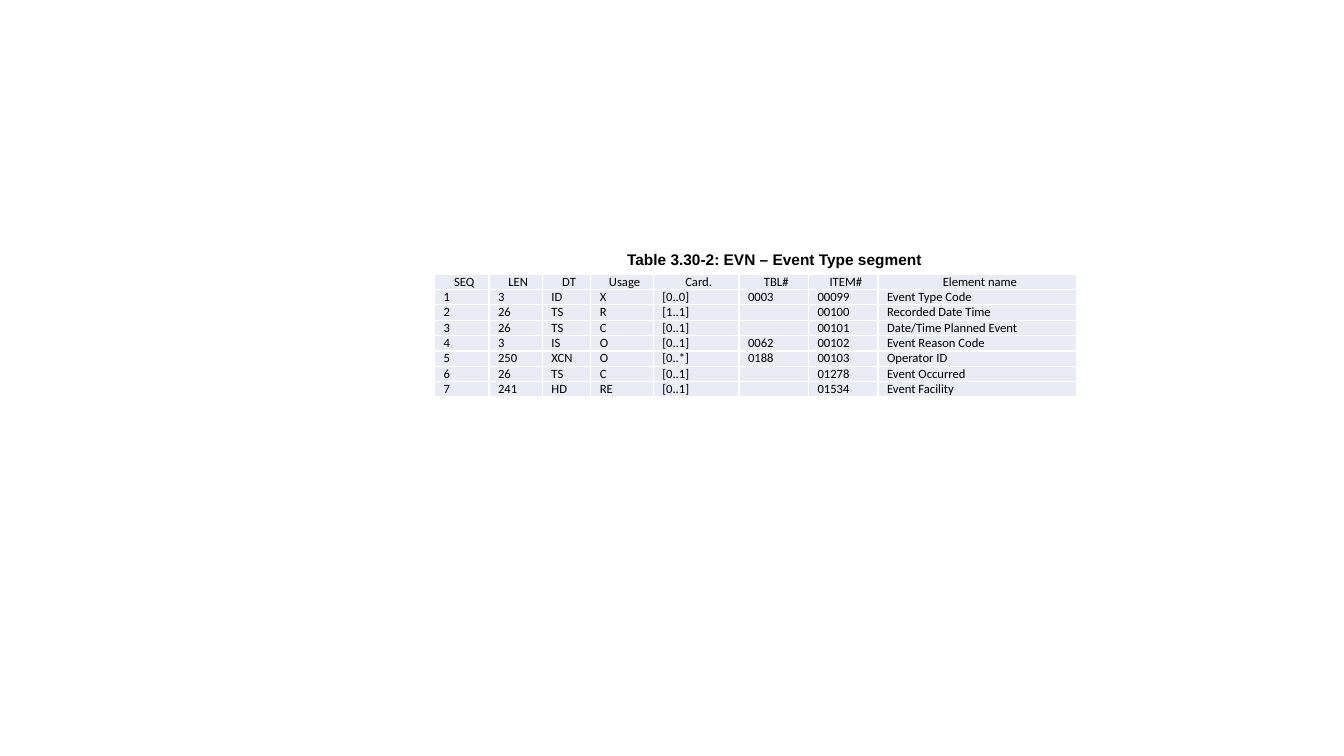
import pptx
import pptx.dml.color
import pptx.enum.text
import pptx.oxml.ns
import pptx.util
from lxml import etree

Inches = pptx.util.Inches
Pt = pptx.util.Pt
PP_ALIGN = pptx.enum.text.PP_ALIGN
ANCHOR = pptx.enum.text.MSO_ANCHOR
qn = pptx.oxml.ns.qn

COLUMNS = [0.54, 0.53, 0.48, 0.62, 0.85, 0.69, 0.69, 1.97]
SEGMENT = [
    ["SEQ", "LEN", "DT", "Usage", "Card.", "TBL#", "ITEM#", "Element name"],
    ["1", "3", "ID", "X", "[0..0]", "0003", "00099", "Event Type Code"],
    ["2", "26", "TS", "R", "[1..1]", "", "00100", "Recorded Date Time"],
    ["3", "26", "TS", "C", "[0..1]", "", "00101", "Date/Time Planned Event"],
    ["4", "3", "IS", "O", "[0..1]", "0062", "00102", "Event Reason Code"],
    ["5", "250", "XCN", "O", "[0..*]", "0188", "00103", "Operator ID"],
    ["6", "26", "TS", "C", "[0..1]", "", "01278", "Event Occurred"],
    ["7", "241", "HD", "RE", "[0..1]", "", "01534", "Event Facility"],
]


def rgb(value):
    return pptx.dml.color.RGBColor.from_string(value)


class SlideBuilder:
    """Hold the table style and the current slide."""

    text = "000000"
    cell_fill = "E9EBF5"
    border = "FFFFFF"
    body_size = 9
    row_height = 0.15

    def __init__(self, prs):
        self.slide = prs.slides.add_slide(prs.slide_layouts[5])

    def font(self, p, name, size, bold=False):
        p.font.name = name
        p.font.size = Pt(size)
        p.font.bold = bold
        p.font.color.rgb = rgb(self.text)

    def title(self, text, left, top, width, height):
        sp = self.slide.shapes.title
        sp.left, sp.top = Inches(left), Inches(top)
        sp.width, sp.height = Inches(width), Inches(height)
        tf = sp.text_frame
        tf.text = text
        tf.word_wrap = False
        tf.auto_size = pptx.enum.text.MSO_AUTO_SIZE.NONE
        tf.vertical_anchor = ANCHOR.TOP
        p = tf.paragraphs[0]
        p.alignment = PP_ALIGN.LEFT
        self.font(p, "Arial", 11, bold=True)

    def borders(self, cell):
        tc_pr = cell._tc.get_or_add_tcPr()
        for side in ("lnL", "lnR", "lnT", "lnB"):
            ln = etree.SubElement(tc_pr, qn(f"a:{side}"), w=str(Pt(1)))
            fill = etree.SubElement(ln, qn("a:solidFill"))
            etree.SubElement(fill, qn("a:srgbClr"), val=self.border)

    def cell(self, cell, text, alignment):
        self.borders(cell)
        cell.fill.solid()
        cell.fill.fore_color.rgb = rgb(self.cell_fill)
        cell.margin_left = cell.margin_right = Inches(0.04)
        cell.margin_top = cell.margin_bottom = 0
        p = cell.text_frame.paragraphs[0]
        if text:
            p.text = text
        else:
            etree.SubElement(p._p, qn("a:endParaRPr"), sz=str(self.body_size * 100))
        p._p.get_or_add_pPr().set("marL", str(Inches(0.05)))
        p.alignment = alignment
        p.space_after = Pt(2)
        self.font(p, "Calibri", self.body_size)

    def table(self, rows, widths, left, top):
        table = self.slide.shapes.add_table(
            len(rows), len(widths), Inches(left), Inches(top),
            Inches(sum(widths)), Inches(self.row_height * len(rows))).table
        table.first_row = table.horz_banding = False
        for column, width in zip(table.columns, widths):
            column.width = Inches(width)
        for i, row in enumerate(rows):
            table.rows[i].height = Inches(self.row_height)
            alignment = PP_ALIGN.LEFT if i else PP_ALIGN.CENTER
            for j, text in enumerate(row):
                self.cell(table.cell(i, j), text, alignment)


def main():
    prs = pptx.Presentation()
    prs.slide_width, prs.slide_height = Inches(13.33), Inches(7.5)
    s = SlideBuilder(prs)
    s.title("Table 3.30‑2: EVN – Event Type segment", 6.12, 2.43, 3.17, 0.59)
    s.table(SEGMENT, COLUMNS, 4.31, 2.72)
    prs.save("out.pptx")


if __name__ == "__main__":
    main()
